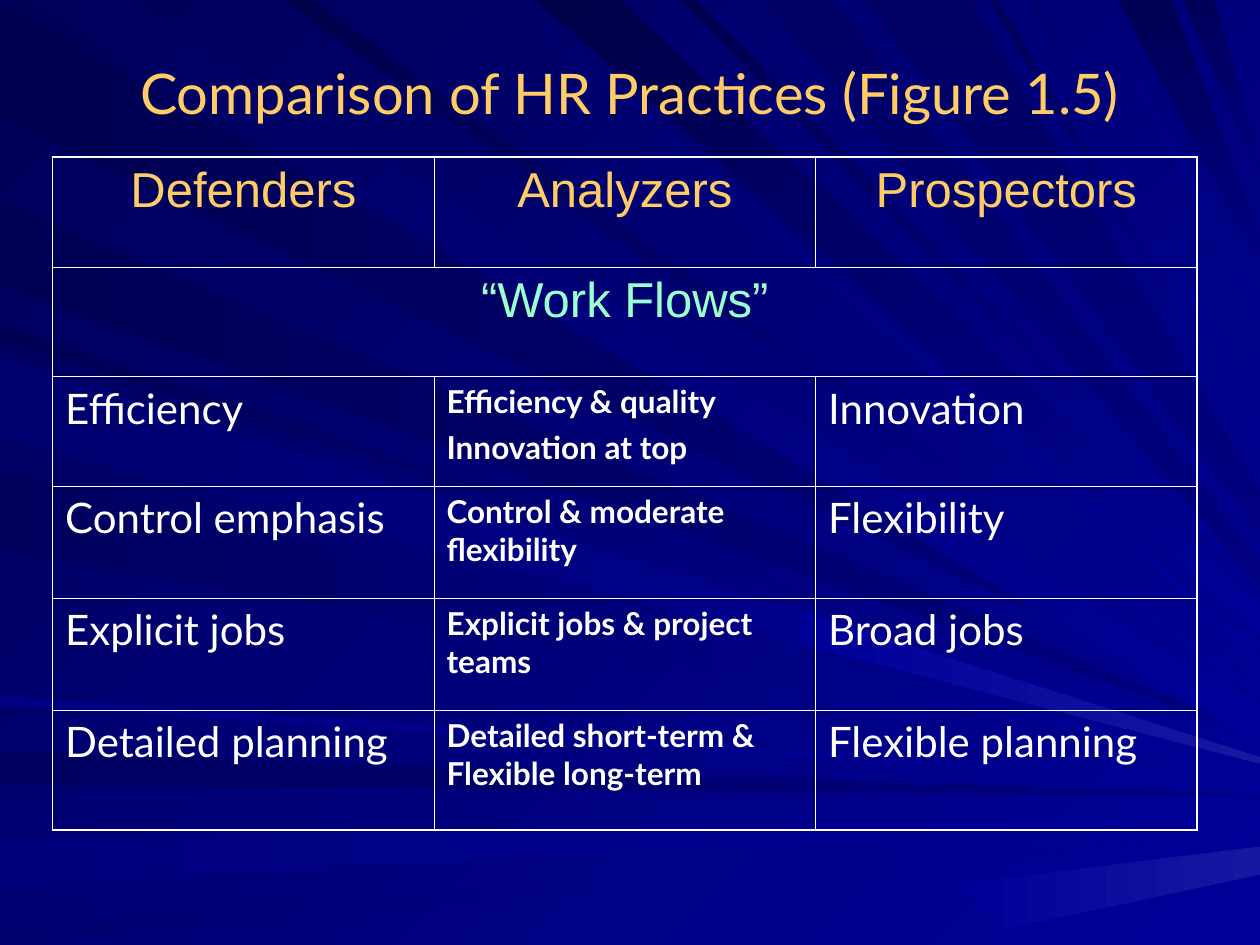
"""Build the slide comparing HR practices of defenders, analyzers and prospectors."""
from lxml.etree import SubElement
from pptx import Presentation
from pptx.dml.color import RGBColor
from pptx.enum.text import MSO_ANCHOR, PP_ALIGN
from pptx.oxml.ns import qn
from pptx.util import Cm, Pt

TITLE = "Comparison of HR Practices (Figure 1.5)"
HEADINGS = ["Defenders", "Analyzers", "Prospectors"]
SECTION = "“Work Flows”"
PRACTICES = [
    ["Efficiency", "Efficiency & quality\nInnovation at top", "Innovation"],
    ["Control emphasis", "Control & moderate flexibility", "Flexibility"],
    ["Explicit jobs", "Explicit jobs & project teams", "Broad jobs"],
    ["Detailed planning", "Detailed short-term & Flexible long-term", "Flexible planning"],
]
GOLD, MINT, WHITE = "FFCC66", "99FFCC", "FFFFFF"
NAVY, BLUE, PALE = "000080", "000099", "1717A2"
ROW_HEIGHTS = [2.21, 2.21, 2.21, 2.26, 2.26, 2.41]
COLUMN_WIDTH = 7.69
OUTER_LINE, INNER_LINE = 1.08, 0.45
RAY_UNIT = Cm(0.0254)
RIGHT_EDGE = 1000

LEFT_RAYS = [
    (2, 93, 569, "000051", NAVY),
    (596, 623, 631, "000061", NAVY),
    (665, 704, 647, "00007D", BLUE),
    (735, 750, 662, "00006F", BLUE),
    (258, 270, 589, "000053", BLUE),
    (159, 228, 584, "000055", NAVY),
    (278, 342, 599, "000061", BLUE),
    (374, 437, 605, "00005D", BLUE),
    (552, 560, 622, "000082", BLUE),
    (283, 347, 604, "00006F", BLUE),
]
TOP_RAYS = [
    (26, 101, 562, "00005D", BLUE),
    (398, 416, 518, "00006B", BLUE),
    (426, 492, 479, "000047", BLUE),
    (540, 552, 462, "00004F", BLUE),
    (606, 661, 445, "000065", NAVY),
    (887, 930, 190, "000055", NAVY),
    (939, 964, 130, "000059", NAVY),
    (225, 247, 547, "00004A", BLUE),
    (686, 770, 390, "000065", NAVY),
    (785, 792, 355, "000058", BLUE),
    (815, 824, 335, "00006F", BLUE),
    (865, 872, 250, "000079", BLUE),
]
GLOWS = [
    [(637, 485), (RIGHT_EDGE, 601), (RIGHT_EDGE, 606), (633, 511)],
    [(756, 702), (RIGHT_EDGE, 672), (RIGHT_EDGE, 694), (800, 737)],
]


def color(value):
    return RGBColor.from_string(value)


def paint(fill, start, end, angle):
    fill.gradient()
    fill.gradient_angle = -angle % 360
    for stop, value in zip(fill.gradient_stops, (start, end)):
        stop.color.rgb = color(value)


def add_ray(slide, points, start, end, angle):
    builder = slide.shapes.build_freeform(*points[0], scale=RAY_UNIT)
    builder.add_line_segments(points[1:], close=True)
    shape = builder.convert_to_shape()
    shape.shadow.inherit = False
    shape.line.fill.background()
    paint(shape.fill, start, end, angle)


def add_rays(slide):
    for top, bottom, tip, start, end in LEFT_RAYS:
        points = [(0, top), (RIGHT_EDGE, tip), (RIGHT_EDGE, tip + 1), (0, bottom)]
        add_ray(slide, points, start, end, 0)
    for left, right, tip, start, end in TOP_RAYS:
        spread = 0.4 * (right - left)
        points = [(left, 0), (RIGHT_EDGE, tip + spread), (RIGHT_EDGE, tip), (right, 0)]
        add_ray(slide, points, start, end, 90 if end == NAVY else 45)
    for points in GLOWS:
        add_ray(slide, points, BLUE, PALE, 0)


def write(frame, text, size, font_name, value, alignment, bold=False):
    frame.text = text
    for index, paragraph in enumerate(frame.paragraphs):
        paragraph.alignment = alignment
        if index:
            paragraph.space_before = Pt(size / 4)
        paragraph.font.size = Pt(size)
        paragraph.font.name = font_name
        paragraph.font.bold = bold
        paragraph.font.color.rgb = color(value)


def add_borders(cell, outer_edges):
    properties = cell._tc.get_or_add_tcPr()
    for edge, is_outer in outer_edges.items():
        width = Pt(OUTER_LINE if is_outer else INNER_LINE)
        line = SubElement(properties, qn(f"a:ln{edge}"), w=str(width))
        SubElement(SubElement(line, qn("a:solidFill")), qn("a:srgbClr"), val=WHITE)


def add_title(slide):
    box = slide.shapes.add_textbox(Cm(1.27), Cm(0.76), Cm(22.86), Cm(2.18))
    box.text_frame.word_wrap = True
    box.text_frame.vertical_anchor = MSO_ANCHOR.MIDDLE
    write(box.text_frame, TITLE, 32, "Lato", GOLD, PP_ALIGN.CENTER)


def add_comparison(slide):
    rows = [HEADINGS, [SECTION], *PRACTICES]
    last_row, last_column = len(rows) - 1, len(HEADINGS) - 1
    table = slide.shapes.add_table(
        len(rows), len(HEADINGS), Cm(1.06), Cm(3.17),
        Cm(COLUMN_WIDTH * len(HEADINGS)), Cm(sum(ROW_HEIGHTS))).table
    table.first_row = table.horz_banding = False
    for column in table.columns:
        column.width = Cm(COLUMN_WIDTH)
    for row, height in zip(table.rows, ROW_HEIGHTS):
        row.height = Cm(height)
    table.cell(1, 0).merge(table.cell(1, last_column))

    for row_index, texts in enumerate(rows):
        for column_index in range(len(HEADINGS)):
            cell = table.cell(row_index, column_index)
            is_last = column_index == last_column or cell.is_merge_origin
            add_borders(cell, {"L": column_index == 0, "R": is_last,
                               "T": row_index == 0, "B": row_index == last_row})
            cell.fill.background()
        for column_index, text in enumerate(texts):
            frame = table.cell(row_index, column_index).text_frame
            if row_index < 2:
                write(frame, text, 28, "Arial", MINT if row_index else GOLD, PP_ALIGN.CENTER)
            else:
                is_middle = column_index == 1
                write(frame, text, 18 if is_middle else 24, "Lato", WHITE,
                      PP_ALIGN.LEFT, is_middle)


def main():
    presentation = Presentation()
    presentation.slide_width, presentation.slide_height = Cm(25.4), Cm(19.05)
    slide = presentation.slides.add_slide(presentation.slide_layouts[6])
    paint(slide.background.fill, "000058", BLUE, 45)
    add_rays(slide)
    add_title(slide)
    add_comparison(slide)
    presentation.save("out.pptx")


if __name__ == "__main__":
    main()
